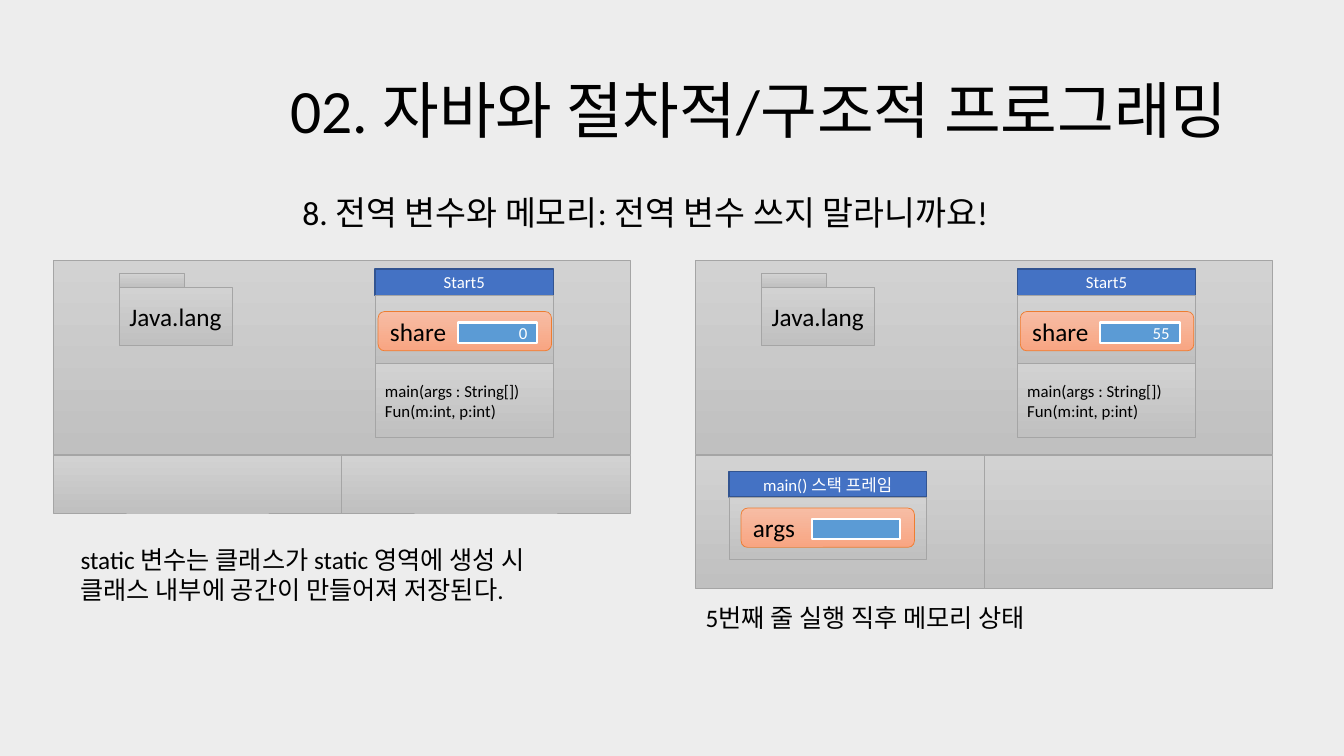
import pptx
import pptx.util
import pptx.dml.color
import pptx.enum.shapes
import pptx.enum.text

Inches = pptx.util.Inches
Pt = pptx.util.Pt
RGB = pptx.dml.color.RGBColor.from_string
SHAPE = pptx.enum.shapes.MSO_SHAPE
ALIGN = pptx.enum.text.PP_ALIGN
ANCHOR = pptx.enum.text.MSO_ANCHOR
AUTO = pptx.enum.text.MSO_AUTO_SIZE

COLORS = {"bg": "EDEDED", "black": "000000", "white": "FFFFFF"}
STYLES = {
    "area": (["D2D2D2", "C0C0C0"], "A5A5A5", 0.5, 12, "black"),
    "folder": (["D2D2D2", "C0C0C0"], "A5A5A5", 0.5, 18, "black"),
    "header": (["4472C4"], "325491", 1, 12, "white"),
    "variable": (["F7BDA5", "F8A582"], "ED7D31", 0.5, 18, "black"),
    "value": (["5B9BD5"], "FFFFFF", 1.5, 12, "white"),
}


def write(tf, text, size, color="black", align=ALIGN.LEFT):
    tf.text = text
    for p in tf.paragraphs:
        p.alignment = align
        p.font.name = "Calibri"
        p.font.size = Pt(size)
        p.font.color.rgb = RGB(COLORS[color])


def box(shapes, style, x, y, w, h, text="", align=ALIGN.LEFT):
    fills, line, width, size, color = STYLES[style]
    kind = SHAPE.ROUNDED_RECTANGLE if style == "variable" else SHAPE.RECTANGLE
    sp = shapes.add_shape(kind, Inches(x), Inches(y), Inches(w), Inches(h))
    sp.shadow.inherit = False
    if len(fills) == 1:
        sp.fill.solid()
        sp.fill.fore_color.rgb = RGB(fills[0])
    else:
        sp.fill.gradient()
        sp.fill.gradient_angle = 270
        for stop, fill, position in zip(sp.fill.gradient_stops, fills, (0, 1)):
            stop.color.rgb = RGB(fill)
            stop.position = position
    sp.line.color.rgb = RGB(line)
    sp.line.width = Pt(width)
    if text:
        sp.text_frame.vertical_anchor = ANCHOR.MIDDLE
        write(sp.text_frame, text, size, color, align)


prs = pptx.Presentation()
prs.slide_width = Inches(13.33)
prs.slide_height = Inches(7.5)
s = prs.slides.add_slide(prs.slide_layouts[5])
s.background.fill.solid()
s.background.fill.fore_color.rgb = RGB(COLORS["bg"])

title = s.shapes.title
title.left, title.top = Inches(2.78), Inches(0.4)
title.width, title.height = Inches(10.29), Inches(1.45)
tf = title.text_frame
tf.auto_size = AUTO.NONE
tf.vertical_anchor = ANCHOR.MIDDLE
write(tf, "02. 자바와 절차적/구조적 프로그래밍", 44)
tf.paragraphs[0].line_spacing = 0.9

for x, share, stack_h in ((0.53, "0", 0.57), (6.9, "55", 1.32)):
    box(s.shapes, "area", x, 2.58, 5.72, 1.93)
    for i in range(2):
        box(s.shapes, "area", x + i * 2.86, 4.52, 2.86, stack_h)
    folder = s.shapes.add_group_shape()
    box(folder.shapes, "folder", x + 0.65, 2.71, 0.65, 0.14)
    box(folder.shapes, "folder", x + 0.65, 2.85, 1.12, 0.58, "Java.lang", ALIGN.CENTER)
    box(s.shapes, "header", x + 3.19, 2.67, 1.77, 0.26, "Start5", ALIGN.CENTER)
    box(s.shapes, "area", x + 3.19, 2.93, 1.77, 0.68)
    box(s.shapes, "area", x + 3.19, 3.61, 1.77, 0.73, "main(args : String[])\nFun(m:int, p:int)")
    box(s.shapes, "variable", x + 3.22, 3.09, 1.72, 0.39, "share")
    box(s.shapes, "value", x + 4.01, 3.2, 0.79, 0.2, share, ALIGN.RIGHT)

box(s.shapes, "header", 7.23, 4.68, 1.96, 0.25, "main() 스택 프레임", ALIGN.CENTER)
box(s.shapes, "area", 7.23, 4.93, 1.96, 0.62)
box(s.shapes, "variable", 7.35, 5.04, 1.72, 0.39, "args")
box(s.shapes, "value", 8.05, 5.15, 0.88, 0.2)

for x, y, w, h, size, wrap, text in (
    (2.9, 1.85, 8.7, 0.5, 24, True, "8. 전역 변수와 메모리: 전역 변수 쓰지 말라니까요!"),
    (0.7, 5.35, 4.92, 0.71, 18, False,
     "static 변수는 클래스가 static 영역에 생성 시\n클래스 내부에 공간이 만들어져 저장된다."),
    (6.9, 5.93, 3.65, 0.4, 18, False, "5번째 줄 실행 직후 메모리 상태"),
):
    tf = s.shapes.add_textbox(Inches(x), Inches(y), Inches(w), Inches(h)).text_frame
    tf.word_wrap = wrap
    tf.auto_size = AUTO.SHAPE_TO_FIT_TEXT
    write(tf, text, size)

prs.save("out.pptx")
